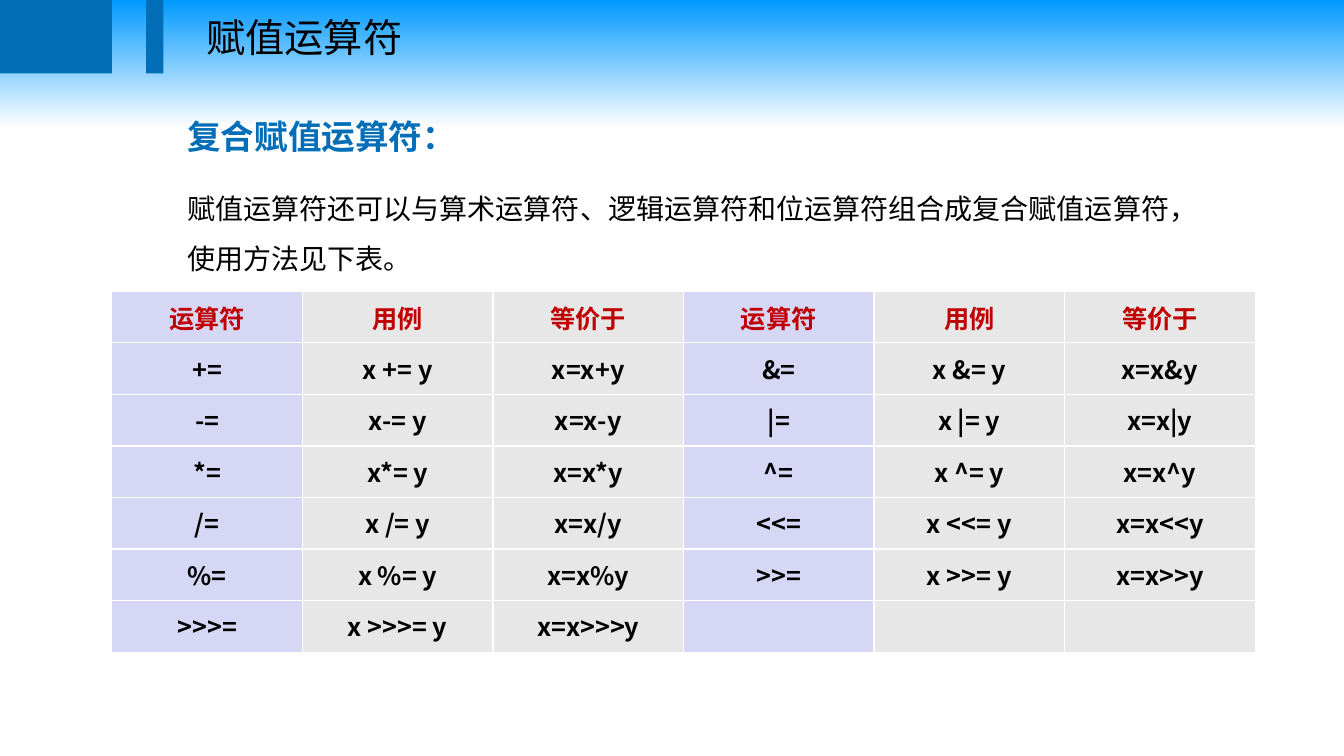
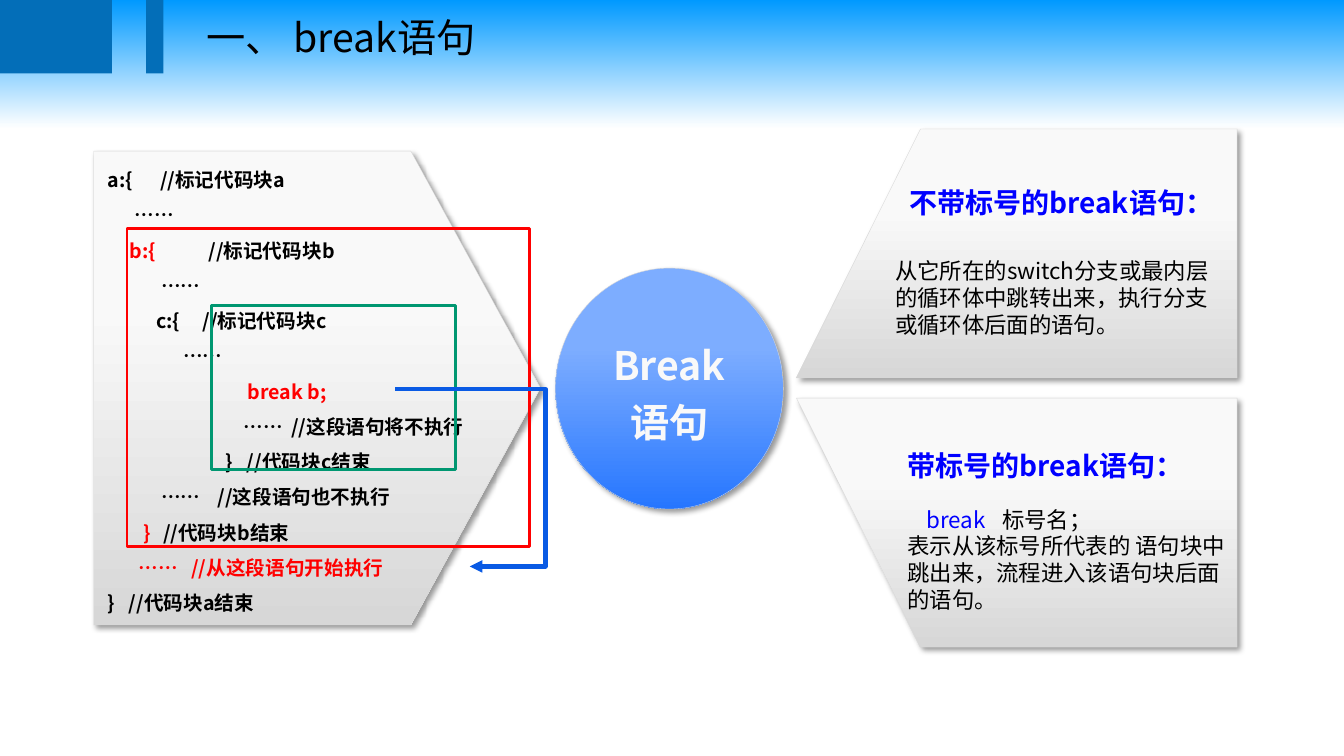
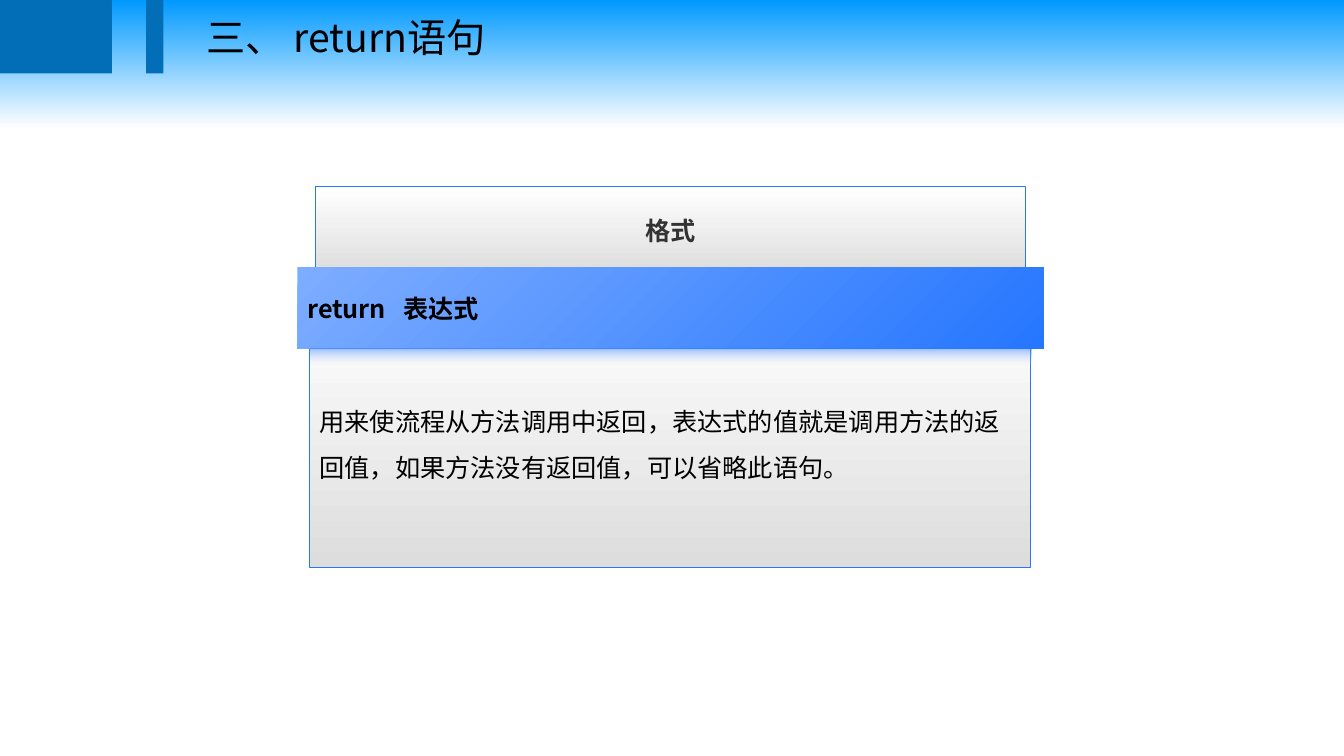
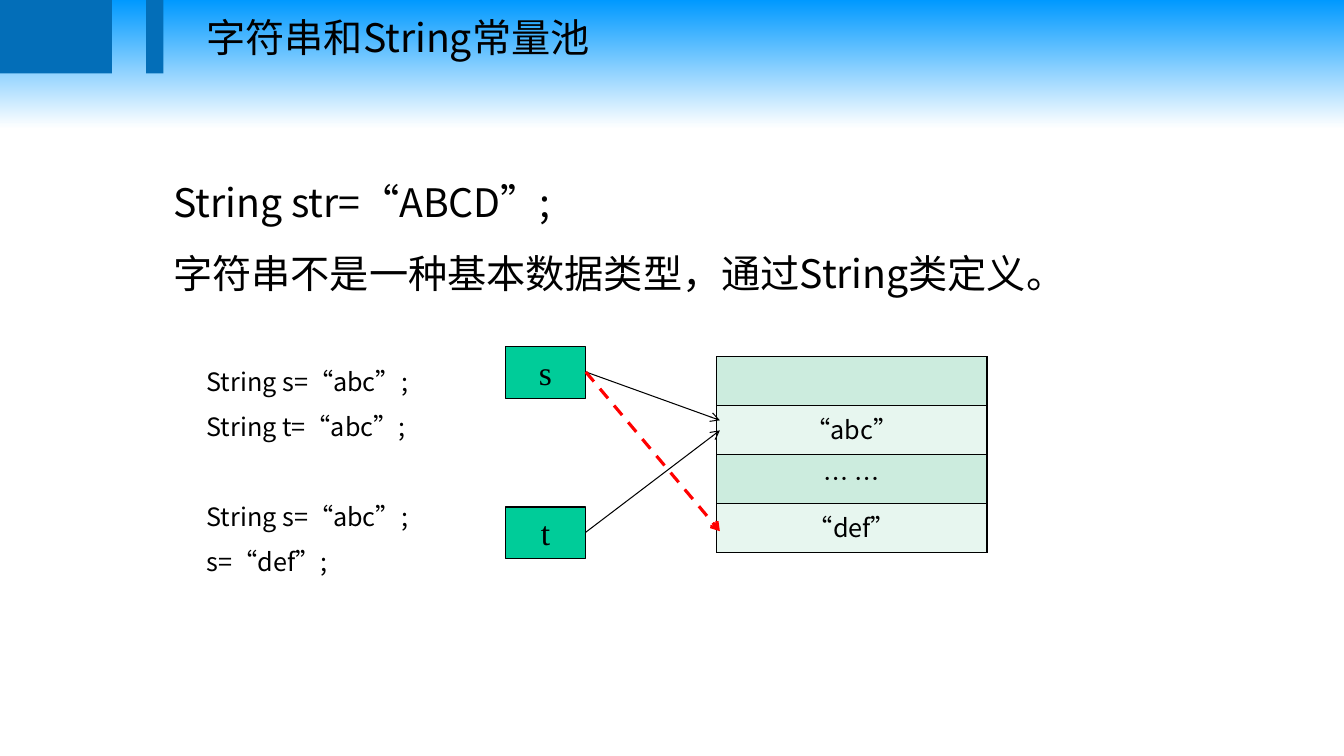
from dataclasses import dataclass, field

from lxml.etree import SubElement
from pptx import Presentation
from pptx.dml.color import RGBColor
from pptx.enum.dml import MSO_LINE
from pptx.enum.lang import MSO_LANGUAGE_ID
from pptx.enum.shapes import MSO_CONNECTOR, MSO_SHAPE
from pptx.enum.text import MSO_ANCHOR, PP_ALIGN
from pptx.oxml import parse_xml
from pptx.oxml.ns import nsdecls, qn
from pptx.util import Inches, Pt

COLORS = {
    "sky": "0099FF", "white": "FFFFFF", "brand": "036EB8", "ink": "000000",
    "crimson": "C00000", "red": "FF0000", "blue": "0000FF", "arrow": "095AE4",
    "teal": "009771", "lilac": "D6D6F5", "gray": "E7E7E7", "pale": "F9F9F9",
    "silver": "D7D7D7", "ash": "DDDDDD", "charcoal": "333333",
    "azure": "7DADFF", "royal": "2676FF",
    "jade": "00CC99", "mint": "CCECDE", "light_mint": "E7F6EF",
}
FONT = "Noto Sans CJK SC"
TITLE_FORMAT = {"size": Pt(28), "bold": False}
PANEL_STOPS = [(0.33, "pale"), (1, "silver")]
CARD_STOPS = [(0, "white"), (1, "ash")]

OPERATORS = [
    ["运算符", "用例", "等价于"] * 2,
    ["+=", "x += y", "x=x+y", "&=", "x &= y", "x=x&y"],
    ["-=", "x-= y", "x=x-y", "|=", "x |= y", "x=x|y"],
    ["*=", "x*= y", "x=x*y", "^=", "x ^= y", "x=x^y"],
    ["/=", "x /= y", "x=x/y", "<<=", "x <<= y", "x=x<<y"],
    ["%=", "x %= y", "x=x%y", ">>=", "x >>= y", "x=x>>y"],
    [">>>=", "x >>>= y", "x=x>>>y", "", "", ""],
]
CODE_LINES = [
    ([0.52], [("a:{\t//标记代码块a", "ink")]),
    ([0.27], [("\t……", "ink")]),
    ([0.22, 1], [("\tb:{", "red"), ("\t//标记代码块b", "ink")]),
    ([0.53], [("\t……", "ink")]),
    ([0.48, 0.94], [("\tc:{\t//标记代码块c", "ink")]),
    ([0.75], [("\t……", "ink")]),
    ([1.39], [("\tbreak b;", "red")]),
    ([1.35, 1.82], [("\t……\t//这段语句将不执行", "ink")]),
    ([1.17, 1.38], [("\t}\t//代码块c结束", "ink")]),
    ([0.53, 1.09], [("\t……\t//这段语句也不执行", "ink")]),
    ([0.36, 0.55], [("\t}", "red"), ("\t//代码块b结束", "ink")]),
    ([0.31, 0.83], [("\t……\t//从这段语句开始执行", "red")]),
    ([0.21], [("}\t//代码块a结束", "ink")]),
]


@dataclass
class Para:
    runs: list
    size: float = 18
    bold: bool = False
    face: str = FONT
    layout: dict = field(default_factory=dict)
    indent: float = 0
    tabs: list = field(default_factory=list)


def color(name):
    return RGBColor.from_string(COLORS[name])


def apply(target, values):
    for name, value in values.items():
        setattr(target, name, value)


def inches(*lengths):
    return [Inches(length) for length in lengths]


def write(frame, paras, **frame_values):
    apply(frame, {"word_wrap": True, **frame_values})
    for index, para in enumerate(paras):
        line = frame.paragraphs[0] if index == 0 else frame.add_paragraph()
        apply(line, para.layout)
        properties = line._p.get_or_add_pPr()
        if para.indent:
            properties.set("marL", str(Inches(para.indent)))
        if para.tabs:
            stops = SubElement(properties, qn("a:tabLst"))
            for stop in para.tabs:
                SubElement(stops, qn("a:tab"), pos=str(Inches(stop)), algn="l")
        for text, ink in para.runs:
            run = line.add_run()
            run.text = text
            apply(run.font, {
                "size": Pt(para.size), "bold": para.bold, "name": para.face,
                "language_id": MSO_LANGUAGE_ID.SIMPLIFIED_CHINESE,
            })
            run.font.color.rgb = color(ink)
            SubElement(run._r.get_or_add_rPr(), qn("a:ea"), typeface=para.face)


def text_box(slide, box, paras):
    write(slide.shapes.add_textbox(*inches(*box)).text_frame, paras)


def gradient(fill, stops, angle=270):
    fill.gradient()
    fill.gradient_angle = angle
    for stop, (position, name) in zip(fill.gradient_stops, stops):
        stop.position = position
        stop.color.rgb = color(name)


def paint(shape, fill=None, line=None, width=0.25, angle=270):
    shape.shadow.inherit = False
    if fill is None:
        shape.fill.background()
    elif isinstance(fill, str):
        shape.fill.solid()
        shape.fill.fore_color.rgb = color(fill)
    else:
        gradient(shape.fill, fill, angle)
    if line:
        shape.line.color.rgb = color(line)
        shape.line.width = Pt(width)
    else:
        shape.line.fill.background()
    return shape


def block(slide, box, preset=MSO_SHAPE.RECTANGLE, **look):
    return paint(slide.shapes.add_shape(preset, *inches(*box)), **look)


def outline(slide, points, close):
    start, *rest = [inches(*point) for point in points]
    builder = slide.shapes.build_freeform(*start, scale=1.0)
    builder.add_line_segments(rest, close=close)
    return builder.convert_to_shape()


def drop_shadow(shape):
    effects = shape._element.spPr.find(qn("a:effectLst"))
    effects.append(parse_xml(
        f'<a:outerShdw {nsdecls("a")} blurRad="{Pt(4)}" dist="{Pt(3)}" dir="2700000" '
        'algn="tl" rotWithShape="0"><a:srgbClr val="000000"><a:alpha val="40000"/>'
        '</a:srgbClr></a:outerShdw>'))


def arrowhead(shape, kind):
    SubElement(shape.line._get_or_add_ln(), qn("a:tailEnd"), type=kind)


def border(cell, name):
    properties = cell._tc.get_or_add_tcPr()
    for index, side in enumerate(("lnL", "lnR", "lnT", "lnB")):
        properties.insert(index, parse_xml(
            f'<a:{side} {nsdecls("a")} w="{Pt(1)}"><a:solidFill>'
            f'<a:srgbClr val="{COLORS[name]}"/></a:solidFill></a:{side}>'))


def grid(slide, box, rows, edge, fill_of, para_of, cell_values):
    frame = slide.shapes.add_table(len(rows), len(rows[0]), *inches(*box))
    table = frame.table
    apply(table, {"first_row": False, "horz_banding": False})
    for row_index, row in enumerate(rows):
        table.rows[row_index].height = Inches(box[3] / len(rows))
        for column_index, text in enumerate(row):
            cell = table.cell(row_index, column_index)
            cell.fill.solid()
            cell.fill.fore_color.rgb = color(fill_of(row_index, column_index))
            border(cell, edge)
            apply(cell, cell_values(row_index))
            if text:
                write(cell.text_frame, [para_of(row_index, text)])


def new_slide(deck, title, face=FONT):
    slide = deck.slides.add_slide(deck.slide_layouts[6])
    for left, width in ((0, 1.11), (1.45, 0.17)):
        block(slide, (left, 0, width, 0.73), fill="brand")
    text_box(slide, (1.95, 0.08, 6.12, 0.57), [Para([(title, "ink")], 28, face=face)])
    return slide


def assignment_slide(deck):
    slide = new_slide(deck, "赋值运算符")
    text_box(slide, (1.76, 1.1, 3.2, 0.5),
             [Para([("复合赋值运算符：", "brand")], 24, True)])
    usage = "赋值运算符还可以与算术运算符、逻辑运算符和位运算符组合成复合赋值运算符，使用方法见下表。"
    text_box(slide, (1.76, 1.68, 10.33, 0.92),
             [Para([(usage, "ink")], 20, layout={"line_spacing": 1.5})])
    margins = {"margin_left": Inches(0.13), "margin_right": Inches(0.13),
               "margin_top": Inches(0.07), "margin_bottom": Inches(0.07)}
    grid(
        slide, (1.11, 2.89, 11.34, 3.58), OPERATORS, "white",
        lambda row, column: "gray" if column % 3 else "lilac",
        lambda row, text: Para([(text, "ink" if row else "crimson")], 18, True,
                               layout={"alignment": PP_ALIGN.CENTER}),
        lambda row: {**margins, "vertical_anchor":
                     MSO_ANCHOR.TOP if row else MSO_ANCHOR.MIDDLE})


def break_panel(slide, box, slant_up, paras):
    left, top, width, height = box
    right, bottom, slant = left + width, top + height, left + 1.23
    if slant_up:
        points = [(left, bottom), (right, bottom), (right, top), (slant, top)]
    else:
        points = [(left, top), (slant, bottom), (right, bottom), (right, top)]
    panel = paint(outline(slide, points, True), PANEL_STOPS, "silver")
    drop_shadow(panel)
    write(panel.text_frame, paras, vertical_anchor=MSO_ANCHOR.MIDDLE,
          margin_left=Inches(0.98), margin_right=Inches(0.1),
          margin_top=Inches(0.05), margin_bottom=Inches(0.05))


def code_plate(slide, box):
    left, top, width, height = box
    plate = block(slide, box, MSO_SHAPE.PENTAGON, fill=PANEL_STOPS, line="silver")
    plate.adjustments[0] = 0.29
    drop_shadow(plate)
    text_box(slide, (left + 0.04, top, width + 0.21, height),
             [Para(runs, 14, True, tabs=tabs,
                   layout={"line_spacing": 1.5, "alignment": PP_ALIGN.LEFT})
              for tabs, runs in CODE_LINES])
    for x, y, wide, high, edge in ((0.33, 0.77, 3.99, 3.15, "red"),
                                   (1.17, 1.53, 2.42, 1.63, "teal")):
        block(slide, (left + x, top + y, wide, high), line=edge, width=2)
    route = [(2.99, 2.36), (4.48, 2.36), (4.48, 4.12), (3.73, 4.12)]
    jump = outline(slide, [(left + x, top + y) for x, y in route], False)
    arrowhead(paint(jump, line="arrow", width=3), "triangle")


def break_slide(deck):
    slide = new_slide(deck, "一、 break语句", "Noto Sans CJK JP")
    hub = block(slide, (5.51, 2.66, 2.26, 2.39), MSO_SHAPE.OVAL,
                fill=[(0.33, "azure"), (1, "royal")], line="silver")
    drop_shadow(hub)
    write(hub.text_frame,
          [Para([("Break语句", "pale")], 28, True,
                layout={"alignment": PP_ALIGN.CENTER, "line_spacing": 1.2})],
          vertical_anchor=MSO_ANCHOR.MIDDLE)
    left_aligned = {"alignment": PP_ALIGN.LEFT}
    spaced = {**left_aligned, "line_spacing": 1.5}
    break_panel(slide, (7.9, 1.28, 4.37, 2.47), True, [
        Para([("不带标号的break语句：", "blue")], 20, True,
             layout={"alignment": PP_ALIGN.CENTER, "line_spacing": 1.5}),
        Para([("从它所在的switch分支或最内层的循环体中跳转出来，执行分支或循环体后面的语句。", "ink")],
             16, layout={**left_aligned, "space_before": Pt(27)}),
    ])
    break_panel(slide, (7.9, 3.95, 4.37, 2.47), False, [
        Para([("带标号的break语句：", "blue")], 20, True, layout=spaced, indent=0.12),
        Para([("\tbreak", "blue"), ("\t标号名；", "ink")], 16,
             layout={**spaced, "space_before": Pt(7)}, tabs=[0.31, 1.06]),
        Para([("表示从该标号所代表的 语句块中跳出来，流程进入该语句块后面的语句。", "ink")],
             16, layout=left_aligned, indent=0.12),
    ])
    code_plate(slide, (0.93, 1.5, 4.43, 4.7))


def format_card(slide, box):
    left, top, width, height = box
    middle = {"vertical_anchor": MSO_ANCHOR.MIDDLE}
    heading = block(slide, (left + 0.18, top, width - 0.36, 0.87),
                    fill=CARD_STOPS, line="royal", width=0.75)
    write(heading.text_frame,
          [Para([("格式", "charcoal")], 18, True,
                layout={"alignment": PP_ALIGN.CENTER})], **middle)
    body = block(slide, (left + 0.12, top + 1.19, width - 0.25, height - 1.19),
                 fill=CARD_STOPS, line="royal", width=0.75)
    meaning = "用来使流程从方法调用中返回，表达式的值就是调用方法的返回值，如果方法没有返回值，可以省略此语句。"
    write(body.text_frame,
          [Para([(meaning, "ink")], 18,
                layout={"alignment": PP_ALIGN.LEFT, "line_spacing": 1.5})], **middle)
    banner = block(slide, (left, top + 0.8, width, 0.81),
                   fill=[(0, "azure"), (1, "royal")], angle=315)
    write(banner.text_frame,
          [Para([("return\t表达式", "ink")], 18, True, tabs=[0.95],
                layout={"alignment": PP_ALIGN.LEFT})], **middle)
    glow = block(slide, (left + 0.13, top + 1.61, width - 0.25, 0.18),
                 fill=[(0, "royal"), (1, "white")])
    for stop_color, alpha in zip(glow._element.spPr.iter(qn("a:srgbClr")), (50000, 0)):
        SubElement(stop_color, qn("a:alpha"), val=str(alpha))


def return_slide(deck):
    slide = new_slide(deck, "三、 return语句")
    format_card(slide, (2.95, 1.85, 7.4, 3.78))


def statements(slide, box, lines, size):
    text_box(slide, box, [Para([(line, "ink")], size, layout={"line_spacing": 1.5})
                          for line in lines])


def reference_arrow(slide, start, end, ink="ink", width=0.75, dash=None):
    arrow = slide.shapes.add_connector(MSO_CONNECTOR.STRAIGHT, *inches(*start, *end))
    arrow.line.color.rgb = color(ink)
    apply(arrow.line, {"width": Pt(width), "dash_style": dash})
    arrowhead(arrow, "arrow")
    SubElement(arrow._element.spPr, qn("a:effectLst"))


def constant_pool(slide, box):
    left, top, width, height = box
    grid(slide, (left + 2.1, top + 0.1, 2.68, 1.94),
         [[""], ["“abc”"], ["… …"], ["“def”"]], "ink",
         lambda row, column: "light_mint" if row % 2 else "mint",
         lambda row, text: Para([(text, "ink")],
                                layout={"alignment": PP_ALIGN.CENTER}),
         lambda row: {})
    for name, offset in (("s", 0), ("t", 1.59)):
        variable = block(slide, (left, top + offset, 0.8, 0.51),
                         fill="jade", line="ink", width=0.75)
        write(variable.text_frame,
              [Para([(name, "ink")], 24, face="Times New Roman",
                    layout={"alignment": PP_ALIGN.CENTER})],
              vertical_anchor=MSO_ANCHOR.TOP)
    for start, end, look in (
        (0.25, 0.73, {}),
        (1.84, 0.83, {}),
        (0.25, 1.83, {"ink": "red", "width": 2.25, "dash": MSO_LINE.DASH}),
    ):
        reference_arrow(slide, (left + 0.8, top + start), (left + 2.13, top + end), **look)


def string_slide(deck):
    slide = new_slide(deck, "字符串和String常量池")
    statements(slide, (1.62, 1.49, 9.45, 1.51),
               ["String str=“ABCD”;", "字符串不是一种基本数据类型，通过String类定义。"], 28)
    statements(slide, (1.95, 3.43, 2.52, 1.01), ["String s=“abc”;", "String t=“abc”;"], 18)
    statements(slide, (1.95, 4.77, 2.52, 1.01), ["String s=“abc”;", "s=“def”;"], 18)
    constant_pool(slide, (5.01, 3.44, 4.78, 2.1))


def main():
    deck = Presentation()
    apply(deck, {"slide_width": Inches(13.33), "slide_height": Inches(7.5)})
    gradient(deck.slide_master.background.fill, [(0, "sky"), (0.17, "white")])
    for build in (assignment_slide, break_slide, return_slide, string_slide):
        build(deck)
    deck.save("out.pptx")


if __name__ == "__main__":
    main()
